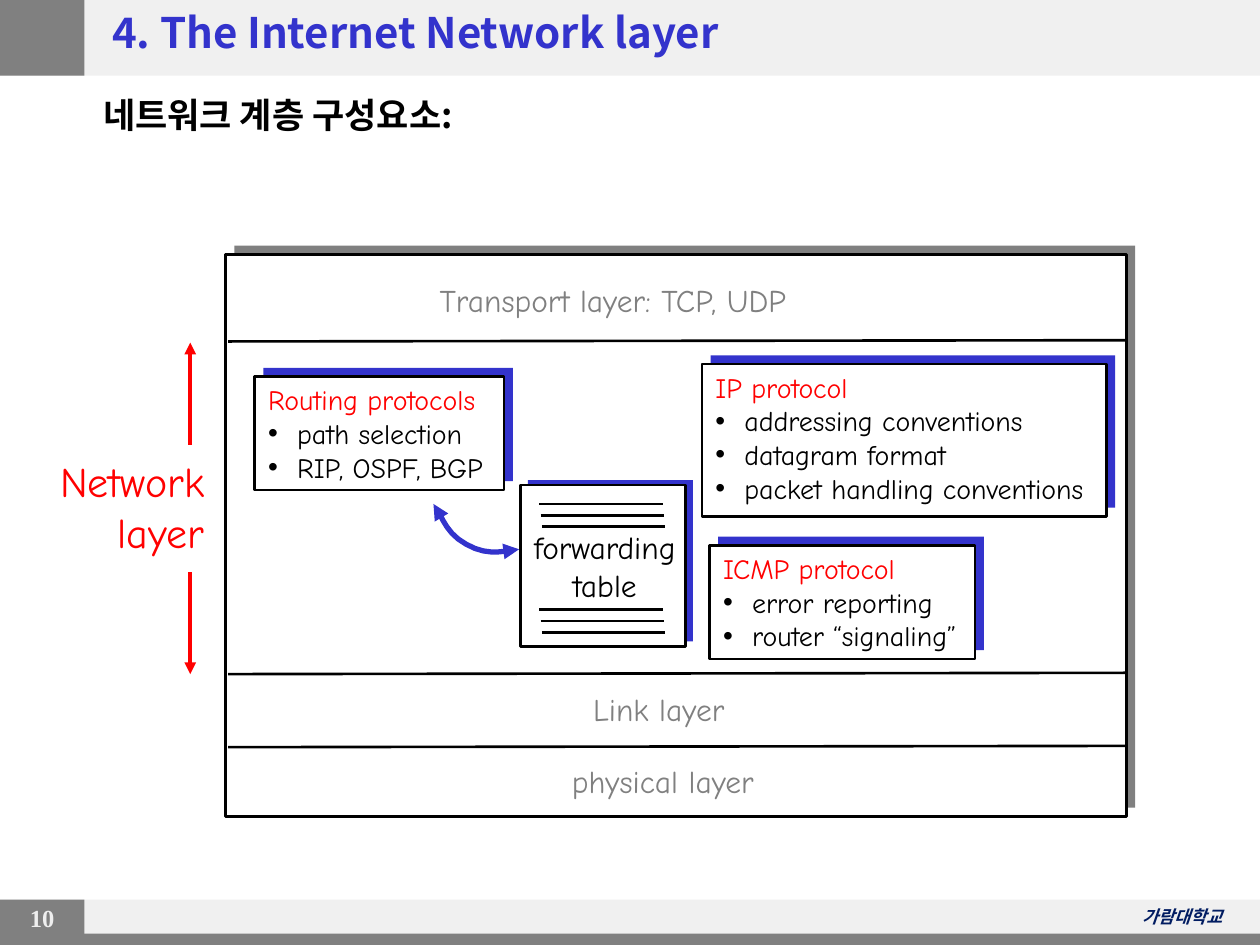
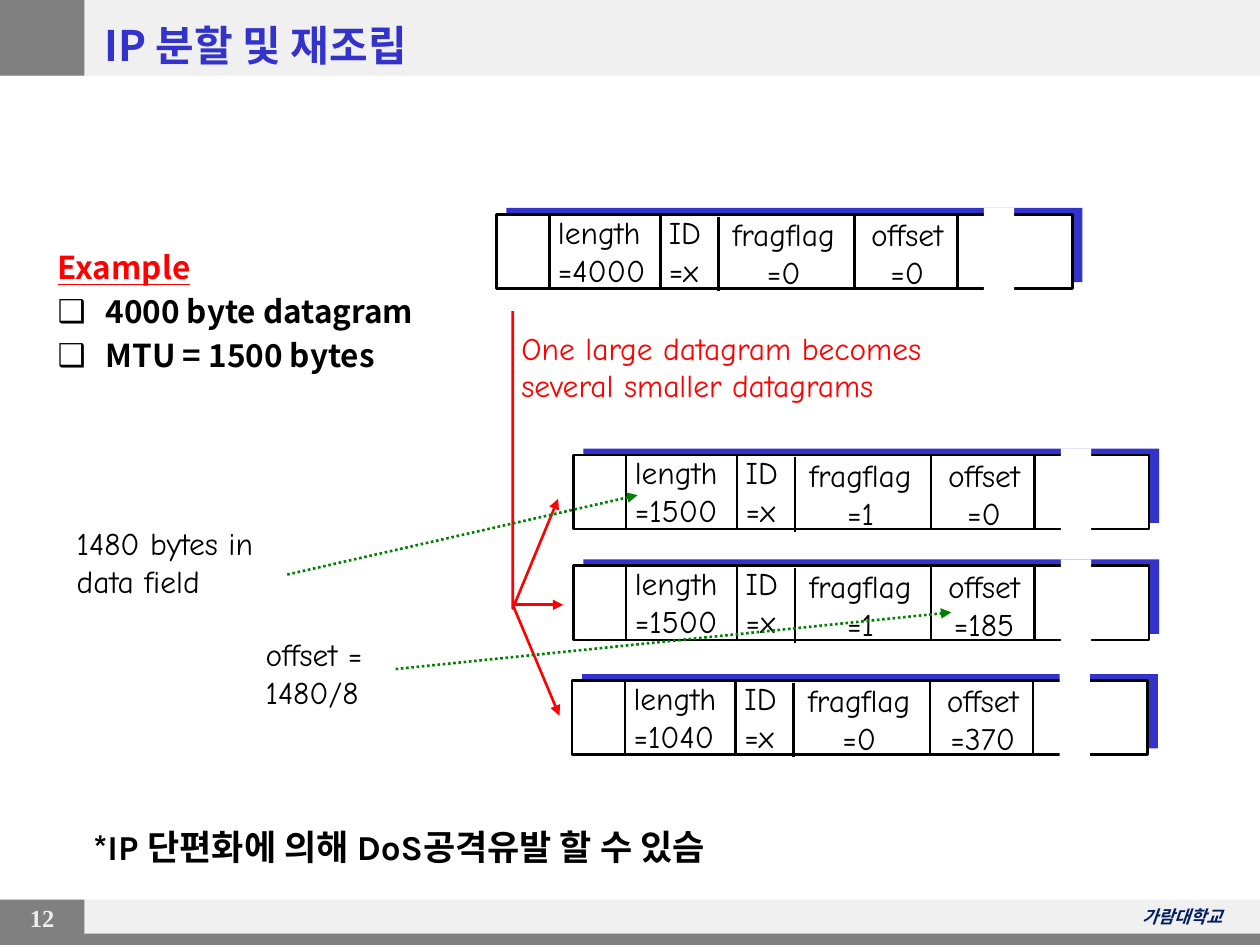
from itertools import pairwise

from lxml.etree import SubElement
from pptx import Presentation
from pptx.dml.color import RGBColor
from pptx.enum.dml import MSO_LINE
from pptx.enum.shapes import MSO_CONNECTOR, MSO_SHAPE
from pptx.enum.text import MSO_ANCHOR, MSO_AUTO_SIZE, PP_ALIGN
from pptx.oxml.ns import qn
from pptx.util import Inches, Pt

BLACK = RGBColor(0x00, 0x00, 0x00)
WHITE = RGBColor(0xFF, 0xFF, 0xFF)
GRAY = RGBColor(0x80, 0x80, 0x80)
BAND = RGBColor(0xF0, 0xF0, 0xF0)
NUMBER = RGBColor(0xEE, 0xEE, 0xEE)
NAVY = RGBColor(0x01, 0x1C, 0x61)
BLUE = RGBColor(0x33, 0x33, 0xCC)
RED = RGBColor(0xFF, 0x00, 0x00)
GREEN = RGBColor(0x00, 0x80, 0x00)

KOREAN = "Noto Sans CJK KR"
HAND = "Comic Neue"
SERIF = "Times New Roman"
ACCENT = "Karla"


def style_paragraph(paragraph, size, color, font=HAND, bold=False, italic=False,
                    align=PP_ALIGN.LEFT):
    paragraph.alignment = align
    for run in paragraph.runs:
        run.font.size = Pt(size)
        run.font.name = font
        run.font.bold = bold
        run.font.italic = italic
        run.font.color.rgb = color
        east_asian = SubElement(run.font._element, qn("a:ea"))
        east_asian.set("typeface", KOREAN if font == ACCENT else font)


def set_bullet(paragraph, character, indent):
    properties = paragraph._p.get_or_add_pPr()
    properties.set("marL", str(Inches(indent)))
    properties.set("indent", str(-Inches(indent)))
    if character:
        SubElement(properties, qn("a:buFont")).set("typeface", "Arial")
        SubElement(properties, qn("a:buChar")).set("char", character)


def add_text(slide, left, top, width, height, lines, size, color, wrap=False, **style):
    box = slide.shapes.add_textbox(Inches(left), Inches(top), Inches(width), Inches(height))
    text_frame = box.text_frame
    text_frame.text = "\n".join(lines)
    text_frame.word_wrap = wrap
    text_frame.auto_size = MSO_AUTO_SIZE.NONE if wrap else MSO_AUTO_SIZE.SHAPE_TO_FIT_TEXT
    for paragraph in text_frame.paragraphs:
        style_paragraph(paragraph, size, color, **style)
    return text_frame


def add_rectangle(slide, left, top, width, height, fill, outlined=False):
    shape = slide.shapes.add_shape(
        MSO_SHAPE.RECTANGLE, Inches(left), Inches(top), Inches(width), Inches(height))
    shape.shadow.inherit = False
    shape.fill.solid()
    shape.fill.fore_color.rgb = fill
    if outlined:
        shape.line.color.rgb = BLACK
        shape.line.width = Pt(1.5)
    else:
        shape.line.fill.background()


def add_card(slide, left, top, width, height, back=BLUE, shift=(0.07, -0.07)):
    add_rectangle(slide, left + shift[0], top + shift[1], width, height, back)
    add_rectangle(slide, left, top, width, height, WHITE, outlined=True)


def style_line(line, color, width, arrows):
    line.color.rgb = color
    line.width = Pt(width)
    for arrow in arrows:
        SubElement(line._ln, qn(f"a:{arrow}")).set("type", "triangle")


def add_line(slide, start, end, color=BLACK, width=1.5, arrows=(), dash=None):
    connector = slide.shapes.add_connector(
        MSO_CONNECTOR.STRAIGHT, *(Inches(value) for value in (*start, *end)))
    if dash:
        connector.line.dash_style = dash
    style_line(connector.line, color, width, arrows)
    SubElement(connector.element.spPr, qn("a:effectLst"))


def add_path(slide, points, color, width, arrows):
    corners = [(Inches(x), Inches(y)) for x, y in points]
    builder = slide.shapes.build_freeform(*corners[0])
    builder.add_line_segments(corners[1:], close=False)
    shape = builder.convert_to_shape()
    shape.shadow.inherit = False
    shape.fill.background()
    style_line(shape.line, color, width, arrows)


def curve_points(start, first, second, end, steps=8):
    for step in range(1, steps + 1):
        t = step / steps
        weights = ((1 - t) ** 3, 3 * t * (1 - t) ** 2, 3 * t * t * (1 - t), t ** 3)
        yield tuple(sum(weight * point[axis] for weight, point
                        in zip(weights, (start, first, second, end))) for axis in (0, 1))


def add_base_slide(presentation, number, title, left, top, width, height):
    slide = presentation.slides.add_slide(presentation.slide_layouts[5])
    for band_top, band_height in ((7.14, 0.36), (0, 0.6)):
        add_rectangle(slide, 0, band_top, 10, band_height, BAND)
        add_rectangle(slide, 0, band_top, 0.67, band_height, GRAY)
    add_text(slide, 0.04, 7.12, 0.59, 0.33, [number], 14, NUMBER, wrap=True,
             font=SERIF, bold=True, align=PP_ALIGN.CENTER)
    add_text(slide, 8.15, 7.14, 1.65, 0.27, ["가람대학교"], 10, NAVY, wrap=True,
             font=KOREAN, bold=True, italic=True, align=PP_ALIGN.RIGHT)
    add_rectangle(slide, 0, 7.41, 10, 0.09, GRAY)

    placeholder = slide.shapes.title
    slide.shapes.element.append(placeholder.element)
    placeholder.left, placeholder.top = Inches(left), Inches(top)
    placeholder.width, placeholder.height = Inches(width), Inches(height)
    text_frame = placeholder.text_frame
    text_frame.text = title
    text_frame.auto_size = MSO_AUTO_SIZE.NONE
    text_frame.vertical_anchor = MSO_ANCHOR.MIDDLE
    style_paragraph(text_frame.paragraphs[0], 24, BLUE, font=KOREAN, bold=True)
    return slide


def add_protocol_card(slide, left, top, width, height, heading, items):
    add_card(slide, left, top, width, height)
    text_frame = add_text(slide, left + 0.01, top, width, height, [heading, *items], 16, BLACK)
    text_frame.paragraphs[0].runs[0].font.color.rgb = RED
    for paragraph in text_frame.paragraphs[1:]:
        set_bullet(paragraph, "•", 0.23)


def add_forwarding_table(slide, left, top):
    add_card(slide, left, top, 1.31, 1.28, shift=(0.06, -0.04))
    add_text(slide, left - 0.07, top + 0.29, 1.48, 0.7, ["forwarding", "table"], 18, BLACK,
             align=PP_ALIGN.CENTER)
    for block_top in (0.15, 0.99):
        for row in range(3):
            x, y = left + 0.15 + 0.01 * row, top + block_top + 0.09 * row
            add_line(slide, (x, y), (x + 0.98, y))


def add_layer_stack(slide, left, top):
    add_card(slide, left, top, 7.15, 4.46, back=GRAY)
    for divider in (0.69, 3.33, 3.91):
        add_line(slide, (left + 0.02, top + divider), (left + 7.15, top + divider - 0.01))
    for x, y, width, label in ((1.6, 0.16, 3.27, "Transport layer: TCP, UDP"),
                               (2.82, 3.41, 1.33, "Link layer"),
                               (2.65, 3.98, 1.78, "physical layer")):
        add_text(slide, left + x, top + y, width, 0.4, [label], 18, GRAY)


def add_layer_span(slide, left, top):
    add_text(slide, left, top + 0.85, 1.55, 0.9, ["Network", "layer"], 24, RED,
             align=PP_ALIGN.RIGHT)
    for start, end in ((0.81, 0), (1.82, 2.63)):
        add_line(slide, (left + 1.34, top + start), (left + 1.34, top + end),
                 RED, 2.25, ["tailEnd"])


def build_network_layer(presentation):
    slide = add_base_slide(presentation, "10", "4. The Internet Network layer",
                           0.79, 0, 8.5, 0.5)
    subtitle = add_text(slide, 0.72, 0.74, 8.24, 0.48, ["네트워크 계층 구성요소:"], 20, BLACK,
                        wrap=True, font=KOREAN, bold=True)
    subtitle.margin_top = 0
    add_layer_stack(slide, 1.79, 2.02)
    add_forwarding_table(slide, 4.13, 3.85)
    add_protocol_card(slide, 2.02, 2.99, 1.98, 0.9, "Routing protocols",
                      ["path selection", "RIP, OSPF, BGP"])
    add_protocol_card(slide, 5.57, 2.89, 3.21, 1.21, "IP protocol",
                      ["addressing conventions", "datagram format",
                       "packet handling conventions"])
    add_protocol_card(slide, 5.63, 4.33, 2.11, 0.9, "ICMP protocol",
                      ["error reporting", "router “signaling”"])
    start, middle, end = (3.44, 4), (3.7, 4.32), (4.12, 4.36)
    add_path(slide, [start,
                     *curve_points(start, (3.49, 4.03), (3.51, 4.22), middle),
                     *curve_points(middle, (3.89, 4.43), (4.04, 4.36), end)],
             BLUE, 3, ["headEnd", "tailEnd"])
    add_layer_span(slide, 0.17, 2.72)


def add_datagram(slide, left, top, length, flag, offset):
    add_card(slide, left, top, 4.57, 0.59, shift=(0.08, -0.05))
    for x, y, width, name, value, align in (
            (1.27, -0.06, 0.52, "ID", "x", PP_ALIGN.LEFT),
            (2.78, -0.04, 0.96, "offset", offset, PP_ALIGN.CENTER),
            (1.7, -0.04, 1.16, "fragflag", flag, PP_ALIGN.CENTER),
            (0.39, -0.06, 0.94, "length", length, PP_ALIGN.LEFT)):
        add_text(slide, left + x, top + y, width, 0.7, [name, f"={value}"], 18, BLACK,
                 align=align)
    for x, drop in ((0.42, 0), (1.3, 0), (1.76, 0.02), (2.84, 0), (3.66, 0)):
        add_line(slide, (left + x, top + drop), (left + x, top + drop + 0.59))
    add_rectangle(slide, left + 3.87, top - 0.05, 0.24, 0.66, WHITE)


def add_split_arrows(slide, left, top):
    add_path(slide, [(left, top), (left, top + 2.36), (left + 0.36, top + 1.49)],
             RED, 1.5, ["tailEnd"])
    for x, y in ((0.4, 2.33), (0.37, 3.21)):
        add_line(slide, (left, top + 2.33), (left + x, top + y), RED, arrows=["tailEnd"])
    add_text(slide, left - 0.03, top + 0.09, 3.57, 0.7,
             ["One large datagram becomes", "several smaller datagrams"], 18, RED)


def add_example(slide, left, top):
    text_frame = add_text(slide, left, top, 3.1, 1.84,
                          ["Example", "4000 byte datagram", "MTU = 1500 bytes"],
                          18, BLACK, wrap=True, font=KOREAN, bold=True)
    text_frame.margin_top = 0
    heading = text_frame.paragraphs[0].runs[0].font
    heading.color.rgb = RED
    heading.underline = True
    for previous, paragraph in pairwise(text_frame.paragraphs):
        paragraph.space_before = Pt(3.6)
        set_bullet(paragraph, "❑", 0.38)


def add_callout(slide, left, top, width, lines, start, end):
    add_text(slide, left, top, width, 0.7, lines, 18, BLACK)
    add_line(slide, start, end, GREEN, arrows=["tailEnd"], dash=MSO_LINE.ROUND_DOT)


def build_fragmentation(presentation):
    slide = add_base_slide(presentation, "12", "IP 분할 및 재조립", 0.73, 0.1, 8.82, 0.51)
    for left, top, length, flag, offset in ((3.94, 1.7, 4000, 0, 0),
                                            (4.55, 3.61, 1500, 1, 0),
                                            (4.55, 4.49, 1500, 1, 185),
                                            (4.54, 5.4, 1040, 0, 370)):
        add_datagram(slide, left, top, length, flag, offset)
    add_split_arrows(slide, 4.07, 2.47)
    add_example(slide, 0.36, 1.97)
    add_callout(slide, 0.51, 4.11, 1.85, ["1480 bytes in", "data field"],
                (2.28, 4.56), (5.06, 3.93))
    add_callout(slide, 2.01, 4.99, 1.16, ["offset =", "1480/8"],
                (3.14, 5.31), (7.55, 4.86))
    add_text(slide, 0.64, 6.5, 5.61, 0.44, ["*IP 단편화에 의해 DoS공격유발 할 수 있슴"],
             20, BLACK, font=ACCENT, bold=True)


def main():
    presentation = Presentation()
    presentation.slide_width = Inches(10)
    presentation.slide_height = Inches(7.5)
    build_network_layer(presentation)
    build_fragmentation(presentation)
    presentation.save("out.pptx")


if __name__ == "__main__":
    main()
